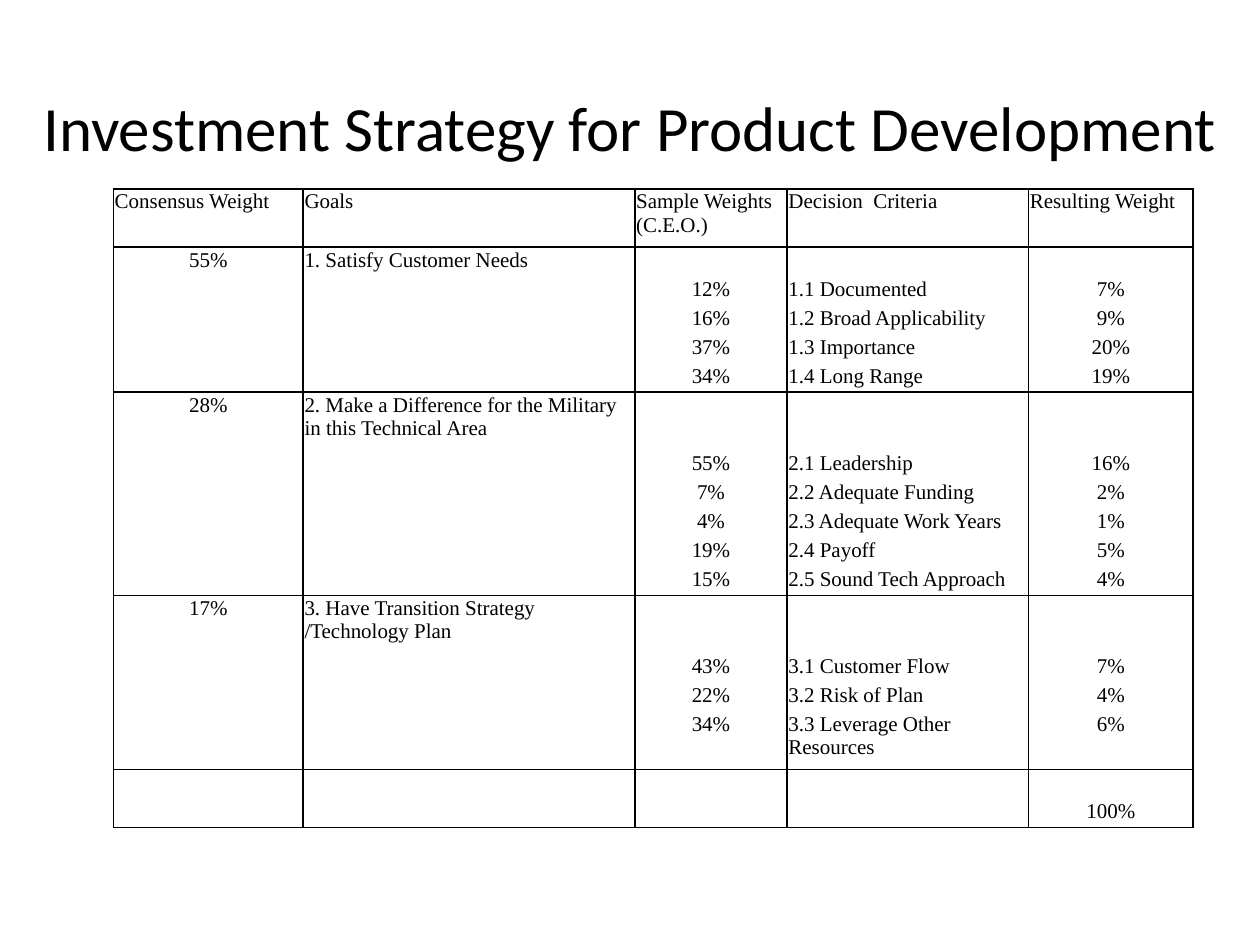
from lxml import etree
from pptx import Presentation
from pptx.dml.color import RGBColor
from pptx.enum.text import MSO_ANCHOR, PP_ALIGN
from pptx.oxml.ns import qn
from pptx.util import Pt

BLACK = RGBColor(0, 0, 0)
LEFT, CENTER = PP_ALIGN.LEFT, PP_ALIGN.CENTER
MIDDLE = MSO_ANCHOR.MIDDLE
TITLE_FONT, TABLE_FONT = "Calibri", "Times New Roman"
TEXT_SIZE = Pt(12)
INSET = Pt(0.75)
BORDER = Pt(1)
ROW_UNIT = 16.6
COLUMN_WIDTHS = [108.5, 189.5, 87, 138, 94]
COLUMN_ALIGNS = [CENTER, LEFT, CENTER, LEFT, CENTER]
HEADERS = ["Consensus Weight", "Goals", "Sample Weights (C.E.O.)",
           "Decision  Criteria", "Resulting Weight"]
GOALS = [
    ("55%", "1. Satisfy Customer Needs", 1, [
        ("12%", "1.1 Documented", "7%", 1),
        ("16%", "1.2 Broad Applicability", "9%", 1),
        ("37%", "1.3 Importance", "20%", 1),
        ("34%", "1.4 Long Range", "19%", 1)]),
    ("28%", "2. Make a Difference for the Military in this Technical Area", 2, [
        ("55%", "2.1 Leadership", "16%", 1),
        ("7%", "2.2 Adequate Funding", "2%", 1),
        ("4%", "2.3 Adequate Work Years", "1%", 1),
        ("19%", "2.4 Payoff", "5%", 1),
        ("15%", "2.5 Sound Tech Approach", "4%", 1)]),
    ("17%", "3. Have Transition Strategy /Technology Plan", 2, [
        ("43%", "3.1 Customer Flow", "7%", 1),
        ("22%", "3.2 Risk of Plan", "4%", 1),
        ("34%", "3.3 Leverage Other Resources", "6%", 2)]),
]
TOTAL = "100%"


def format_runs(p, font, size):
    for r in p.runs:
        r.font.name = font
        r.font.size = size
        r.font.color.rgb = BLACK


def add_title(slide, text):
    tf = slide.shapes.add_textbox(Pt(0), Pt(27), Pt(720), Pt(90)).text_frame
    tf.word_wrap = True
    tf.vertical_anchor = MIDDLE
    tf.text = text
    p = tf.paragraphs[0]
    p.alignment = CENTER
    format_runs(p, TITLE_FONT, Pt(36))


def set_borders(cell, top, bottom):
    tc_pr = cell._tc.get_or_add_tcPr()
    edges = [("a:lnL", True), ("a:lnR", True), ("a:lnT", top), ("a:lnB", bottom)]
    for i, (tag, visible) in enumerate(edges):
        ln = etree.Element(qn(tag), w=str(BORDER))
        if visible:
            fill = etree.SubElement(ln, qn("a:solidFill"))
            etree.SubElement(fill, qn("a:srgbClr"), val=str(BLACK))
        else:
            etree.SubElement(ln, qn("a:noFill"))
        tc_pr.insert(i, ln)


def fill_cell(cell, text, align, top, bottom):
    cell.margin_left = cell.margin_right = cell.margin_top = INSET
    cell.margin_bottom = Pt(0)
    cell.fill.background()
    set_borders(cell, top, bottom)
    p = cell.text_frame.paragraphs[0]
    p.alignment = align
    if text:
        p.text = text
        format_runs(p, TABLE_FONT, TEXT_SIZE)
    else:
        etree.SubElement(p._p, qn("a:endParaRPr"), sz=str(int(TEXT_SIZE.pt * 100)))


def build_rows():
    rows = [(HEADERS, 2, True, True)]
    for weight, goal, lines, criteria in GOALS:
        rows.append(([weight, goal, "", "", ""], lines, True, False))
        for i, (sample, criterion, result, units) in enumerate(criteria, 1):
            rows.append((["", "", sample, criterion, result], units,
                         False, i == len(criteria)))
    rows.append(([""] * 5, 1, True, False))
    rows.append(([""] * 4 + [TOTAL], 1, False, True))
    return rows


def add_weights_table(slide):
    rows = build_rows()
    height = ROW_UNIT * sum(units for _, units, _, _ in rows)
    table = slide.shapes.add_table(len(rows), len(COLUMN_WIDTHS), Pt(64.8), Pt(108),
                                   Pt(sum(COLUMN_WIDTHS)), Pt(height)).table
    table.first_row = table.horz_banding = False
    for column, width in zip(table.columns, COLUMN_WIDTHS):
        column.width = Pt(width)
    for i, (texts, units, top, bottom) in enumerate(rows):
        table.rows[i].height = Pt(ROW_UNIT * units)
        for j, text in enumerate(texts):
            align = COLUMN_ALIGNS[j] if i else LEFT
            fill_cell(table.cell(i, j), text, align, top, bottom)
    last = len(rows) - 1
    for j in range(4):
        set_merged_total(table, last, j)


def set_merged_total(table, last, j):
    first = table.cell(last - 1, j)
    first.merge(table.cell(last, j))
    bottom = first._tc.tcPr.find(qn("a:lnB"))
    bottom.getparent().replace(
        bottom, etree.fromstring(etree.tostring(table.cell(last, j)._tc.tcPr.find(qn("a:lnB")))))


def main():
    prs = Presentation()
    prs.slide_width, prs.slide_height = Pt(720), Pt(540)
    slide = prs.slides.add_slide(prs.slide_layouts[6])
    add_weights_table(slide)
    add_title(slide, "Investment Strategy for Product Development")
    prs.save("out.pptx")


main()
